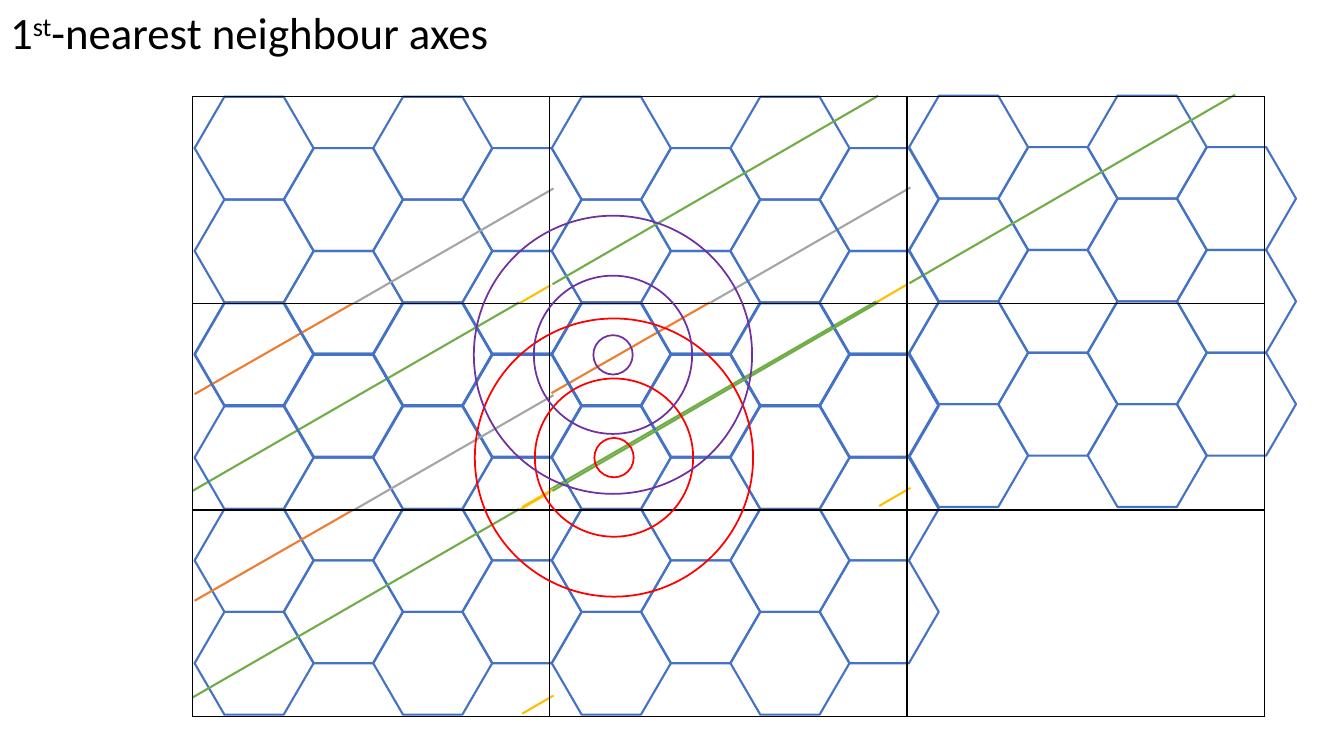
from dataclasses import dataclass

import lxml.etree
import pptx
import pptx.dml.color
import pptx.enum.shapes
import pptx.enum.text
import pptx.oxml
import pptx.oxml.ns
import pptx.util

Inches = pptx.util.Inches
Pt = pptx.util.Pt
Shape = pptx.enum.shapes.MSO_SHAPE

BLACK, BLUE, GREEN, YELLOW = "000000", "4472C4", "70AD47", "FFC000"
ORANGE, GREY, RED, PURPLE = "ED7D31", "A5A5A5", "FF0000", "7030A0"

GRID_LEFT, GRID_TOP, GRID_WIDTH, GRID_HEIGHT = 1.91, 0.96, 10.63, 6.15
CELL_WIDTH, CELL_HEIGHT = GRID_WIDTH / 3, GRID_HEIGHT / 3
HEXAGON_LEFT, HEXAGON_WIDTH, HEXAGON_HEIGHT = 1.93, 1.18, 1.02
COLUMN_STEP, ROW_STEP = CELL_WIDTH / 4, HEXAGON_HEIGHT


@dataclass(frozen=True)
class Block:
    """A patch of the honeycomb with the origin of its set of axes."""
    first_column: int
    columns: int
    top: float
    even_rows: int
    axis_left: float


@dataclass(frozen=True)
class Axis:
    """A line segment, measured from its block's origin."""
    color: str
    start: tuple[float, float]
    end: tuple[float, float]


@dataclass(frozen=True)
class Rings:
    """Concentric neighbour shells around one atom site."""
    color: str
    center_x: float
    center_y: float


ODD_ROWS = 3
BLOCKS = [
    Block(8, 4, 0.95, 4, 5.45),
    Block(0, 8, 0.96, 3, 1.91),
    Block(0, 8, 3.01, 4, 1.91),
]
AXES = [
    Axis(GREEN, (0, 3.91), (3.24, 2.04)),
    Axis(YELLOW, (3.24, 2.05), (3.55, 1.87)),
    Axis(YELLOW, (3.27, 4.07), (3.58, 3.89)),
    Axis(GREEN, (3.57, 1.86), (6.8, -0.01)),
    Axis(ORANGE, (0.02, 2.95), (1.59, 2.05)),
    Axis(GREY, (1.6, 2.05), (3.58, 0.91)),
]
RING_DIAMETERS = [0.39, 1.57, 2.76]
RINGS = [Rings(RED, 6.09, 4.54), Rings(PURPLE, 6.08, 3.52)]


def rgb(color: str) -> pptx.dml.color.RGBColor:
    """Turn a hex string into a colour."""
    return pptx.dml.color.RGBColor.from_string(color)


def add_outline(shapes, kind, left: float, top: float, width: float,
                height: float, color: str, weight: float):
    """Add an unfilled, outlined preset shape."""
    shape = shapes.add_shape(kind, Inches(left), Inches(top), Inches(width), Inches(height))
    shape.shadow.inherit = False
    shape.fill.background()
    shape.line.color.rgb = rgb(color)
    shape.line.width = Pt(weight)
    return shape


def add_axis(shapes, axis: Axis, left: float, top: float) -> None:
    """Draw one axis segment from the given origin."""
    (start_x, start_y), (end_x, end_y) = axis.start, axis.end
    line = shapes.add_connector(
        pptx.enum.shapes.MSO_CONNECTOR.STRAIGHT,
        Inches(left + start_x), Inches(top + start_y),
        Inches(left + end_x), Inches(top + end_y))
    line.line.color.rgb = rgb(axis.color)
    line.line.width = Pt(1.5)
    lxml.etree.SubElement(line._element.spPr, pptx.oxml.ns.qn("a:effectLst"))


def add_block(slide, block: Block) -> None:
    """Draw a grouped honeycomb patch and its axes."""
    shapes = slide.shapes.add_group_shape().shapes
    for column in range(block.first_column, block.first_column + block.columns):
        odd = column % 2
        for row in range(ODD_ROWS if odd else block.even_rows):
            hexagon = add_outline(
                shapes, Shape.HEXAGON, HEXAGON_LEFT + column * COLUMN_STEP,
                block.top + (row + odd / 2) * ROW_STEP,
                HEXAGON_WIDTH, HEXAGON_HEIGHT, BLUE, 1.5)
            hexagon.adjustments[0] = 0.29
    for axis in AXES:
        add_axis(shapes, axis, block.axis_left, block.top)


def add_rings(slide, rings: Rings) -> None:
    """Draw grouped concentric circles."""
    shapes = slide.shapes.add_group_shape().shapes
    for diameter in RING_DIAMETERS:
        add_outline(shapes, Shape.OVAL, rings.center_x - diameter / 2,
                    rings.center_y - diameter / 2, diameter, diameter, rings.color, 1.25)


def add_cell_grid(slide) -> None:
    """Add the transparent three by three table with thin borders."""
    frame = slide.shapes.add_table(3, 3, Inches(GRID_LEFT), Inches(GRID_TOP),
                                   Inches(GRID_WIDTH), Inches(GRID_HEIGHT))
    table = frame.table
    table.first_row = table.horz_banding = False
    for column in table.columns:
        column.width = Inches(CELL_WIDTH)
    for row in table.rows:
        row.height = Inches(CELL_HEIGHT)
    for cell in table.iter_cells():
        cell.fill.background()
        properties = cell._tc.get_or_add_tcPr()
        for position, side in enumerate(("lnL", "lnR", "lnT", "lnB")):
            border = pptx.oxml.parse_xml(
                f'<a:{side} {pptx.oxml.ns.nsdecls("a")} w="{Pt(1)}"><a:solidFill>'
                f'<a:srgbClr val="{BLACK}"/></a:solidFill></a:{side}>')
            properties.insert(position, border)


def add_title(slide) -> None:
    """Fill the title placeholder, with a raised ordinal ending."""
    title = slide.shapes.title
    title.left, title.top = Inches(0), Inches(0)
    title.width, title.height = Inches(5.02), Inches(0.64)
    frame = title.text_frame
    frame.word_wrap = False
    frame.auto_size = pptx.enum.text.MSO_AUTO_SIZE.SHAPE_TO_FIT_TEXT
    frame.vertical_anchor = pptx.enum.text.MSO_ANCHOR.TOP
    para = frame.paragraphs[0]
    para.alignment = pptx.enum.text.PP_ALIGN.LEFT
    para.line_spacing = 1.0
    para.space_before = Pt(0)
    for text, baseline in (("1", 0), ("st", 30000), ("-nearest neighbour axes", 0)):
        span = para.add_run()
        span.text = text
        span.font.name = "Calibri"
        span.font.size = Pt(32)
        span.font.color.rgb = rgb(BLACK)
        if baseline:
            span.font._element.set("baseline", str(baseline))


def main() -> None:
    """Build the slide and save the deck."""
    deck = pptx.Presentation()
    deck.slide_width, deck.slide_height = Inches(13.33), Inches(7.5)
    slide = deck.slides.add_slide(deck.slide_layouts[5])
    add_title(slide)
    for block in BLOCKS:
        add_block(slide, block)
    add_cell_grid(slide)
    for rings in RINGS:
        add_rings(slide, rings)
    deck.save("out.pptx")


main()
